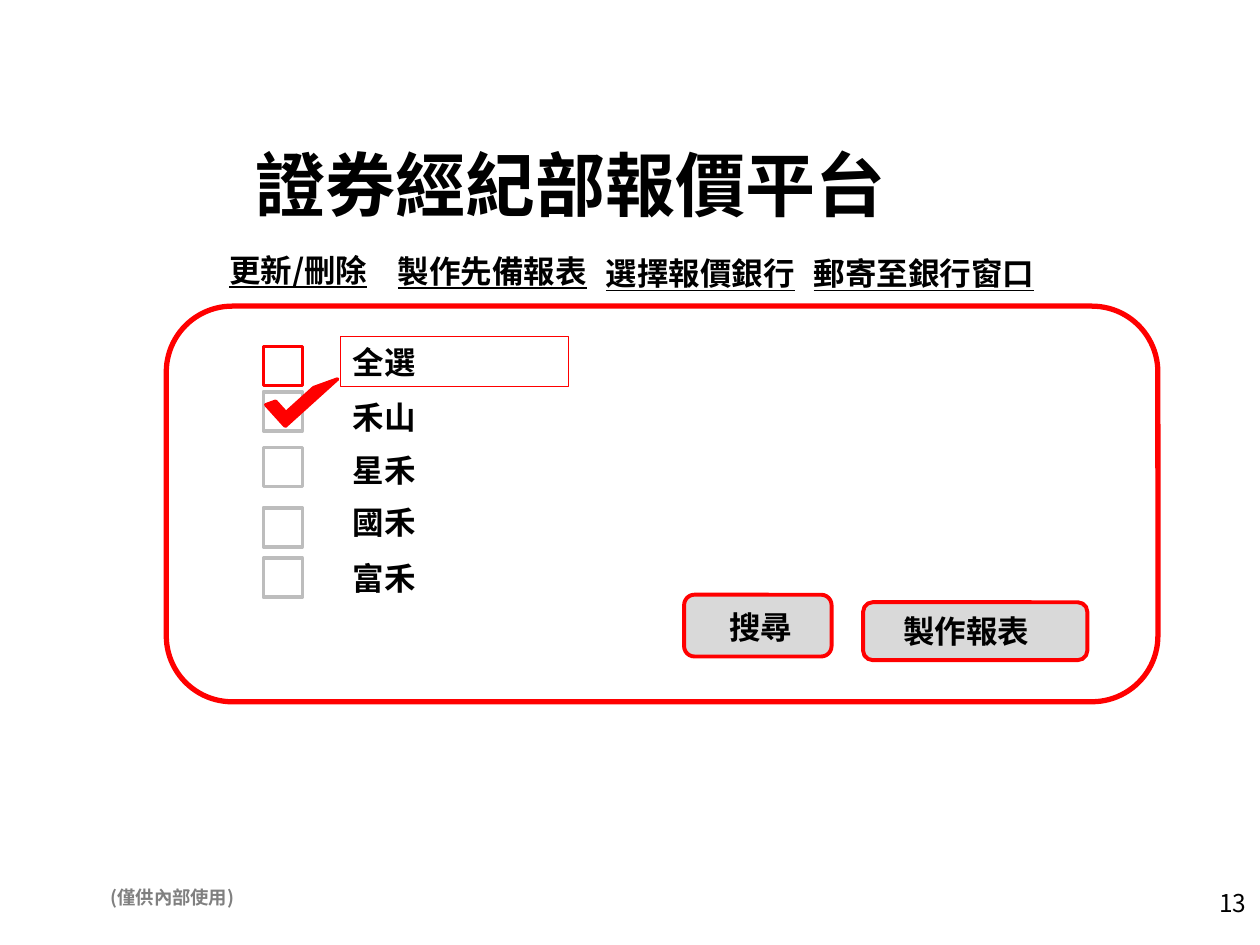
from lxml import etree
from pptx import Presentation
from pptx.dml.color import RGBColor
from pptx.enum.shapes import MSO_SHAPE
from pptx.enum.text import MSO_ANCHOR, MSO_AUTO_SIZE, PP_ALIGN
from pptx.oxml.ns import qn
from pptx.util import Inches, Pt

RECT, ROUND = MSO_SHAPE.RECTANGLE, MSO_SHAPE.ROUNDED_RECTANGLE
HALF_FRAME = MSO_SHAPE.HALF_FRAME
TOP, LEFT, RIGHT = MSO_ANCHOR.TOP, PP_ALIGN.LEFT, PP_ALIGN.RIGHT
GROW, FIXED = MSO_AUTO_SIZE.SHAPE_TO_FIT_TEXT, MSO_AUTO_SIZE.NONE
FONT = "Noto Sans CJK SC"
BLACK = RGBColor(0x00, 0x00, 0x00)
WHITE = RGBColor(0xFF, 0xFF, 0xFF)
RED = RGBColor(0xFF, 0x00, 0x00)
GREY = RGBColor(0x80, 0x80, 0x80)
BOX_GREY = RGBColor(0xBD, 0xBD, 0xBD)
BUTTON_GREY = RGBColor(0xD9, 0xD9, 0xD9)

CHECK_LEFT, CHECK_SIZE = 2.09, 0.31
LABEL_LEFT, LABEL_WIDTH, ROW_HEIGHT = 2.7, 1.81, 0.4
MENU = [
    ("更新/刪除", 1.72, 1.94, 1.89),
    ("製作先備報表", 3.06, 1.95, 1.89),
    ("選擇報價銀行", 4.71, 1.97, 1.89),
    ("郵寄至銀行窗口", 6.36, 1.97, 2.26),
]
BANKS = [
    ("全選", 2.75, 2.67),
    ("禾山", 3.11, 3.11),
    ("星禾", 3.55, 3.53),
    ("國禾", 4.03, 3.94),
    ("富禾", 4.43, 4.39),
]
BUTTONS = [
    ("製作報表", (6.85, 4.78, 1.78, 0.46), (7.07, 4.81, 1.63, ROW_HEIGHT)),
    ("搜尋", (5.43, 4.72, 1.17, 0.49), (5.69, 4.78, 0.82, ROW_HEIGHT)),
]


def place(sp, box):
    """Move and size a shape in inches."""
    sp.left, sp.top, sp.width, sp.height = map(Inches, box)


def write(sp, text, size=18, color=BLACK, bold=True, underline=None,
          align=LEFT, wrap=True, fit=GROW):
    """Put one formatted line of text into a shape."""
    tf = sp.text_frame
    tf.word_wrap, tf.auto_size, tf.vertical_anchor = wrap, fit, TOP
    p = tf.paragraphs[0]
    p.alignment = align
    r = p.add_run()
    r.text = text
    font = r.font
    font.name, font.size, font.bold, font.underline = FONT, Pt(size), bold, underline
    font.color.rgb = color
    etree.SubElement(r._r.get_or_add_rPr(), qn("a:ea"), typeface=FONT)


def add_text(slide, box, text, **fmt):
    """Add a text box."""
    sp = slide.shapes.add_textbox(*map(Inches, box))
    write(sp, text, **fmt)


def add_box(slide, kind, box, line, width, fill=None):
    """Add an outlined preset shape, filled when a colour is given."""
    sp = slide.shapes.add_shape(kind, *map(Inches, box))
    sp.shadow.inherit = False
    if fill is None:
        sp.fill.background()
    else:
        sp.fill.solid()
        sp.fill.fore_color.rgb = fill
    sp.line.color.rgb = line
    sp.line.width = Pt(width)
    return sp


def add_bank_row(slide, name, check_top, label_top, selected):
    """Add a checkbox and its label, framed in red when selected."""
    add_box(slide, RECT, (CHECK_LEFT, check_top, CHECK_SIZE, CHECK_SIZE),
            RED if selected else BOX_GREY, 2, WHITE)
    label = (LABEL_LEFT, label_top, LABEL_WIDTH, ROW_HEIGHT)
    if selected:
        write(add_box(slide, RECT, label, RED, 0.75), name)
    else:
        add_text(slide, label, name)


def add_button(slide, text, frame, label):
    """Add a grey button with its caption."""
    add_box(slide, ROUND, frame, RED, 2.25, BUTTON_GREY)
    add_text(slide, label, text)


def main():
    """Build the quotation platform slide."""
    prs = Presentation()
    prs.slide_width, prs.slide_height = Inches(10), Inches(7.5)
    slide = prs.slides.add_slide(prs.slide_layouts[5])

    title = slide.shapes.title
    place(title, (1.93, 1.07, 5.25, 0.77))
    write(title, "證券經紀部報價平台", size=40, wrap=False)

    add_text(slide, (0.78, 6.98, 1.95, 0.28), "(僅供內部使用)", size=10.5, color=GREY)
    add_text(slide, (9.57, 7, 0.42, 0.33), "13", size=14, bold=False,
             align=RIGHT, fit=FIXED)
    for text, left, top, width in MENU:
        add_text(slide, (left, top, width, ROW_HEIGHT), text, underline=True)

    add_box(slide, ROUND, (1.32, 2.43, 7.87, 3.14), RED, 3)
    for i, (name, check_top, label_top) in enumerate(BANKS):
        add_bank_row(slide, name, check_top, label_top, selected=i == 0)
    tick = add_box(slide, HALF_FRAME, (2.28, 2.83, 0.23, 0.56), RED, 2, RED)
    tick.rotation = 227.9
    for text, frame, label in BUTTONS:
        add_button(slide, text, frame, label)

    prs.save("out.pptx")


if __name__ == "__main__":
    main()
